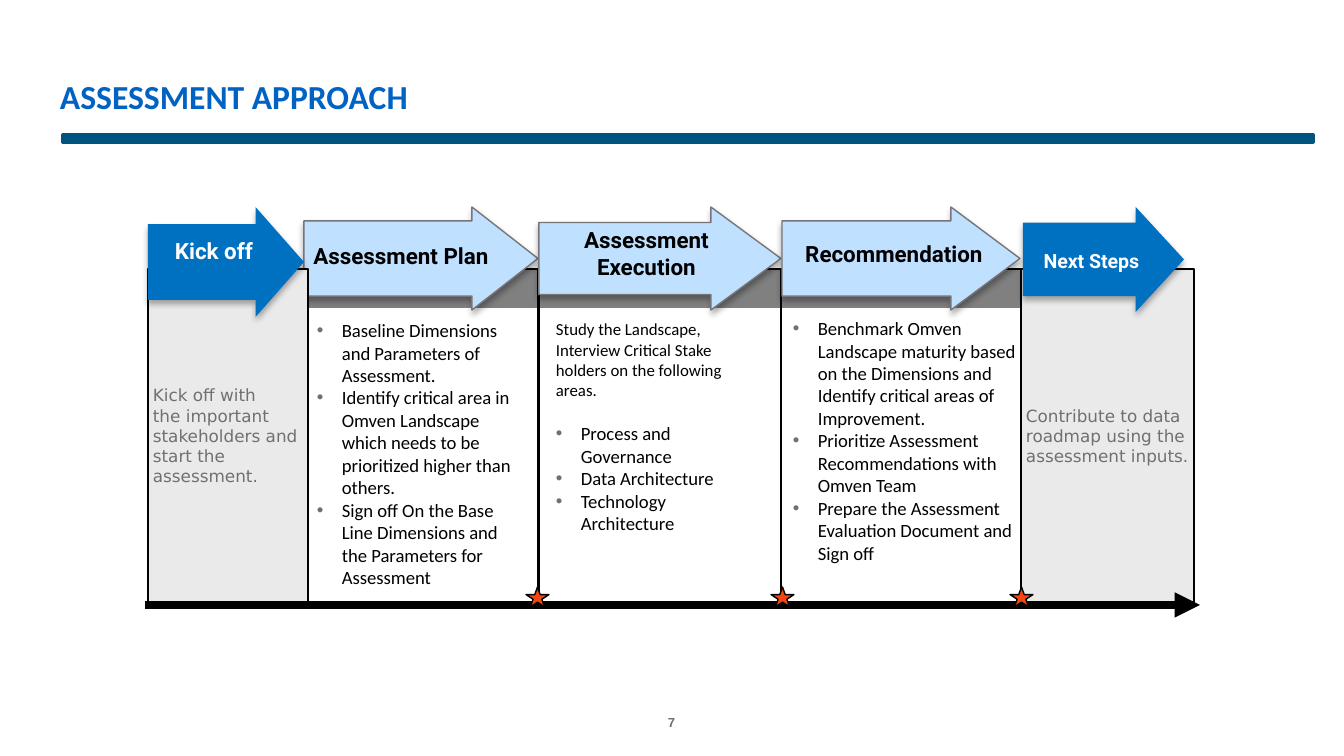
"""Build the assessment approach slide: five stages over a timeline."""
from lxml.etree import SubElement
from pptx import Presentation
from pptx.dml.color import RGBColor
from pptx.enum.shapes import MSO_CONNECTOR, MSO_SHAPE
from pptx.enum.text import MSO_ANCHOR, PP_ALIGN
from pptx.oxml.ns import qn
from pptx.util import Inches, Pt

PX = Inches(10) / 1344
COLORS = {
    "title": "0063C3", "rule": "005480", "band": "808080", "panel": "EAEAEA",
    "stage": "C0E0FF", "stage_edge": "777579", "end_stage": "0070C0",
    "star": "F54510", "muted": "716F73", "black": "000000", "white": "FFFFFF",
}

deck = Presentation()
deck.slide_width, deck.slide_height = round(1344 * PX), round(756 * PX)
slide = deck.slides.add_slide(deck.slide_layouts[6])


def draw(kind, box, fill=None, edge=None, weight=0.75):
    shape = slide.shapes.add_shape(kind, *[round(v * PX) for v in box])
    shape.shadow.inherit = False
    if fill:
        shape.fill.solid()
        shape.fill.fore_color.rgb = RGBColor.from_string(COLORS[fill])
    else:
        shape.fill.background()
    if edge:
        shape.line.color.rgb = RGBColor.from_string(COLORS[edge])
        shape.line.width = Pt(weight)
    else:
        shape.line.fill.background()
    return shape


def write(target, lines, size, font, color, bold=False, align=PP_ALIGN.LEFT,
          anchor=MSO_ANCHOR.TOP, inset=(5, 3), bullets=False):
    if isinstance(target, tuple):
        target = slide.shapes.add_textbox(*[round(v * PX) for v in target])
    frame = target.text_frame
    frame.word_wrap = True
    frame.vertical_anchor = anchor
    frame.margin_left = frame.margin_right = round(inset[0] * PX)
    frame.margin_top = frame.margin_bottom = round(inset[1] * PX)
    frame.text = "\n".join(lines)
    for paragraph in frame.paragraphs:
        paragraph.alignment = align
        if bullets:
            props = paragraph._p.get_or_add_pPr()
            props.set("marL", str(round(25 * PX)))
            props.set("indent", str(round(-25 * PX)))
            SubElement(SubElement(props, qn("a:buClr")), qn("a:srgbClr"), val=COLORS["muted"])
            SubElement(props, qn("a:buFont"), typeface="Arial")
            SubElement(props, qn("a:buChar"), char="•")
        for run in paragraph.runs:
            run.font.size = Pt(size)
            run.font.name = font
            run.font.bold = bold
            run.font.color.rgb = RGBColor.from_string(COLORS[color])
    return frame


write((47, 69, 910, 54), ["ASSESSMENT APPROACH"], 18, "Calibri", "title", True,
      anchor=MSO_ANCHOR.BOTTOM, inset=(13, 7))
draw(MSO_SHAPE.RECTANGLE, (63, 135, 1250, 7), "rule", "rule", 2)
write((610, 689, 123, 41), ["7"], 7, "Arial", "muted", True,
      PP_ALIGN.CENTER, MSO_ANCHOR.BOTTOM, (0, 0))

draw(MSO_SHAPE.RECTANGLE, (302, 269, 720, 39), "band")
for left in (296, 539, 781):
    draw(MSO_SHAPE.RECTANGLE, (left, 269, 242, 333), edge="black")

end_panels = [
    (148, 160, ["Kick off with", "the important",
                "stakeholders and start the assessment."]),
    (1021, 173, ["Contribute to data roadmap using the assessment inputs."]),
]
stages = [
    ("Assessment Plan", (304, 207, 234, 103), (0.73, 0.64), (296, 239, 210, 32), 12),
    ("Assessment Execution", (539, 207, 242, 103), (0.7, 0.68), (551, 223, 191, 59), 12),
    ("Recommendation", (782, 207, 238, 103), (0.73, 0.67), (790, 237, 208, 32), 12),
    ("Kick off", (148, 207, 156, 110), (0.69, 0.44), (144, 234, 140, 32), 12),
    ("Next Steps", (1023, 207, 161, 105), (0.7, 0.46), (1019, 246, 145, 28), 10.5),
]
for order, (name, arrow_box, bends, label_box, size) in enumerate(stages):
    is_end = name in ("Kick off", "Next Steps")
    if order == 1:
        for left, width, notes in end_panels:
            panel = draw(MSO_SHAPE.RECTANGLE, (left, 269, width, 333), "panel", "black")
            write(panel, notes, 9, "DejaVu Sans", "muted", anchor=MSO_ANCHOR.MIDDLE)
    arrow = draw(MSO_SHAPE.RIGHT_ARROW, arrow_box, "end_stage" if is_end else "stage",
                 None if is_end else "stage_edge")
    arrow.adjustments[0], arrow.adjustments[1] = bends
    effects = arrow._element.spPr.find(qn("a:effectLst"))
    shade = SubElement(effects, qn("a:outerShdw"), blurRad=str(Pt(3.5)),
                       dist=str(Pt(2.2)), dir="5400000", rotWithShape="0")
    tint = SubElement(shade, qn("a:srgbClr"), val=COLORS["black"])
    SubElement(tint, qn("a:alpha"), val="32000")
    write(label_box, [name], size, "Roboto", "white" if is_end else "black", True,
          PP_ALIGN.CENTER)

timeline = slide.shapes.add_connector(
    MSO_CONNECTOR.STRAIGHT, *[round(v * PX) for v in (145, 605, 1200, 605)])
timeline.line.color.rgb = RGBColor.from_string(COLORS["black"])
timeline.line.width = Pt(4.5)
SubElement(timeline.line._get_or_add_ln(), qn("a:tailEnd"), type="triangle")
SubElement(timeline._element.spPr, qn("a:effectLst"))

for left in (526, 771, 1010):
    draw(MSO_SHAPE.STAR_5_POINT, (left, 587, 23, 20), "star", "black")

write((312, 316, 220, 208), [
    "Baseline Dimensions and Parameters of Assessment.",
    "Identify critical area in Omven Landscape which needs to be prioritized "
    "higher than others.",
    "Sign off On the Base Line Dimensions and the Parameters for Assessment",
], 10, "Calibri", "black", bullets=True)

execution = write((551, 316, 214, 250), [
    "Study the Landscape, Interview Critical Stake holders on the following areas.",
    "Process and Governance", "Data Architecture", "Technology Architecture",
], 10, "Calibri", "black", bullets=True)
intro, first_area = execution.paragraphs[:2]
intro_props = intro._p.get_or_add_pPr()
for bullet_part in list(intro_props):
    intro_props.remove(bullet_part)
intro_props.set("marL", "0")
intro_props.set("indent", "0")
intro.runs[0].font.size = Pt(9)
first_area.space_before = Pt(12)

write((788, 314, 234, 270), [
    "Benchmark Omven Landscape maturity based on the Dimensions and Identify "
    "critical areas of Improvement.",
    "Prioritize Assessment Recommendations with Omven Team",
    "Prepare the Assessment Evaluation Document and Sign off",
], 10, "Calibri", "black", bullets=True)

deck.save("out.pptx")
